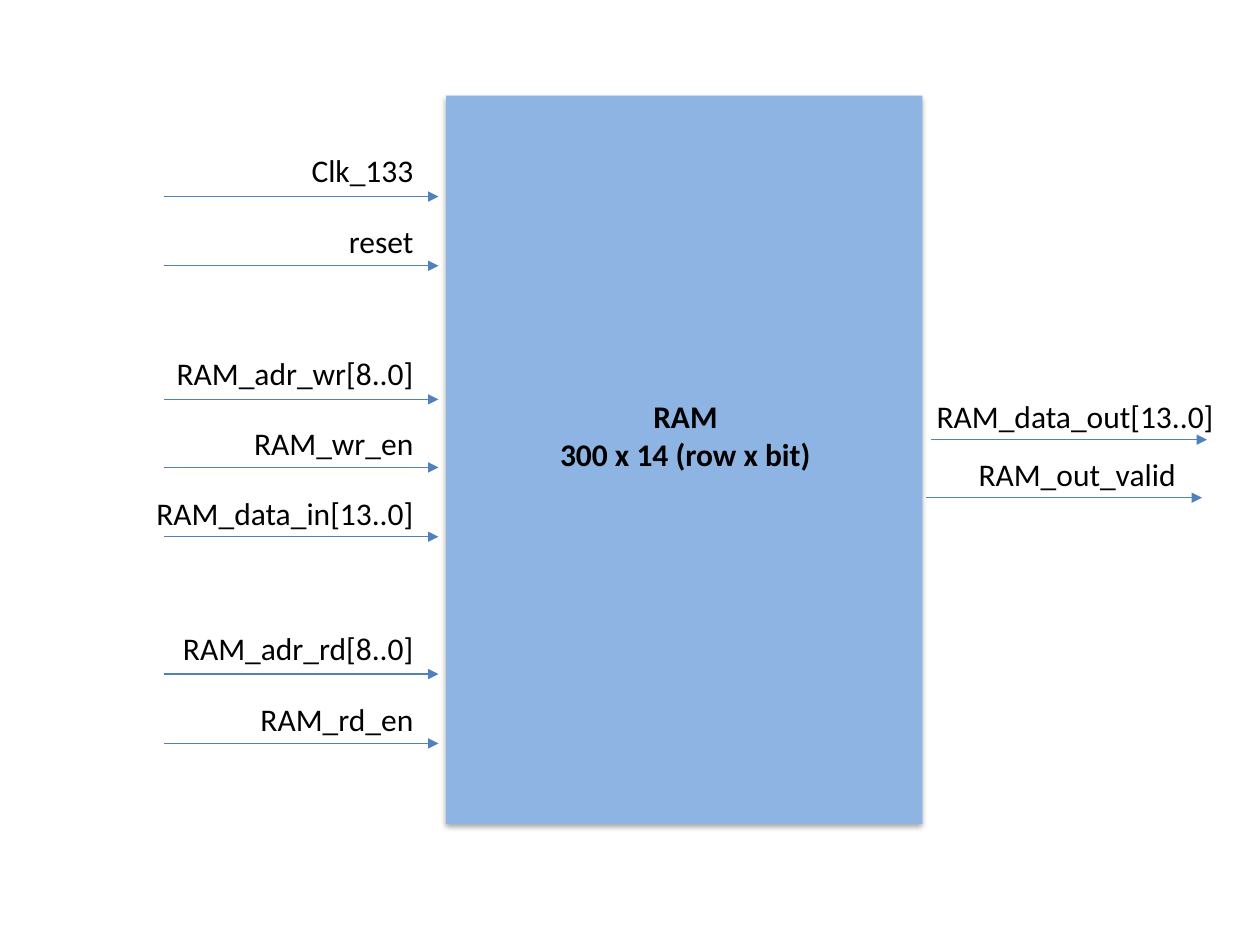
import pptx
import pptx.util
import pptx.dml.color
import pptx.enum.shapes
import pptx.enum.text
import pptx.oxml
import pptx.oxml.ns
import lxml.etree

Inches = pptx.util.Inches
ALIGN = pptx.enum.text.PP_ALIGN

COLORS = {"block": "8EB4E3", "arrow": "4F81BD", "text": "000000", "shadow": "000000"}
FONT = "Calibri"
LABEL_HEIGHT = 0.4
LABEL_WIDTH = 2.2
INPUT_RIGHT = 3.38
INPUT_ARROW = (1.3, 3.48)

# name, label top, arrow height, label width
INPUTS = [
    ("Clk_133", 1.15, 1.56, LABEL_WIDTH),
    ("reset", 1.71, 2.11, LABEL_WIDTH),
    ("RAM_adr_wr[8..0]", 2.76, 3.17, LABEL_WIDTH),
    ("RAM_wr_en", 3.32, 3.71, LABEL_WIDTH),
    ("RAM_data_in[13..0]", 3.87, 4.26, 2.32),
    ("RAM_adr_rd[8..0]", 4.94, 5.35, LABEL_WIDTH),
    ("RAM_rd_en", 5.51, 5.9, LABEL_WIDTH),
]

# name, label left, label top, label width, arrow start, arrow end, arrow height
OUTPUTS = [
    ("RAM_data_out[13..0]", 7.31, 3.1, 2.42, 7.39, 9.58, 3.49),
    ("RAM_out_valid", 7.23, 3.56, LABEL_WIDTH, 7.35, 9.54, 3.95),
]


def rgb(name):
    return pptx.dml.color.RGBColor.from_string(COLORS[name])


def add_block(slide, left, top, width, height):
    """Add the filled RAM block with its soft shadow below."""
    block = slide.shapes.add_shape(
        pptx.enum.shapes.MSO_SHAPE.RECTANGLE,
        Inches(left), Inches(top), Inches(width), Inches(height))
    block.fill.solid()
    block.fill.fore_color.rgb = rgb("block")
    block.line.fill.background()
    block.shadow.inherit = False
    effects = block._element.spPr.find(pptx.oxml.ns.qn("a:effectLst"))
    effects.append(pptx.oxml.parse_xml(
        f'<a:outerShdw {pptx.oxml.ns.nsdecls("a")} blurRad="40000" dist="23000" '
        f'dir="5400000" rotWithShape="0"><a:srgbClr val="{COLORS["shadow"]}">'
        '<a:alpha val="35000"/></a:srgbClr></a:outerShdw>'))


def add_text(slide, lines, left, top, width, height, align, bold=False):
    box = slide.shapes.add_textbox(
        Inches(left), Inches(top), Inches(width), Inches(height))
    frame = box.text_frame
    frame.word_wrap = True
    frame.auto_size = pptx.enum.text.MSO_AUTO_SIZE.SHAPE_TO_FIT_TEXT
    for index, line in enumerate(lines):
        para = frame.add_paragraph() if index else frame.paragraphs[0]
        para.alignment = align
        span = para.add_run()
        span.text = line
        span.font.name = FONT
        span.font.size = pptx.util.Pt(18)
        span.font.bold = bold
        span.font.color.rgb = rgb("text")


def add_arrow(slide, start, end, height):
    """Add a level arrow that points right."""
    arrow = slide.shapes.add_connector(
        pptx.enum.shapes.MSO_CONNECTOR.STRAIGHT,
        Inches(start), Inches(height), Inches(end), Inches(height))
    arrow.line.color.rgb = rgb("arrow")
    arrow.line.width = pptx.util.Pt(0.75)
    qn = pptx.oxml.ns.qn
    lxml.etree.SubElement(arrow.line._get_or_add_ln(), qn("a:tailEnd"), type="triangle")
    lxml.etree.SubElement(arrow._element.spPr, qn("a:effectLst"))


def add_port(slide, name, left, top, width, start, end, height):
    """Add a signal name and the arrow under it."""
    add_text(slide, [name], left, top, width, LABEL_HEIGHT, ALIGN.RIGHT)
    add_arrow(slide, start, end, height)


def main():
    deck = pptx.Presentation()
    deck.slide_width = Inches(10)
    deck.slide_height = Inches(7.5)
    slide = deck.slides.add_slide(deck.slide_layouts[6])

    add_block(slide, 3.54, 0.76, 3.78, 5.78)
    add_text(slide, ["RAM", "300 x 14 (row x bit)"],
             4.34, 3.1, 2.2, 0.71, ALIGN.CENTER, bold=True)
    for name, top, height, width in INPUTS:
        add_port(slide, name, INPUT_RIGHT - width, top, width, *INPUT_ARROW, height)
    for port in OUTPUTS:
        add_port(slide, *port)

    deck.save("out.pptx")


if __name__ == "__main__":
    main()
